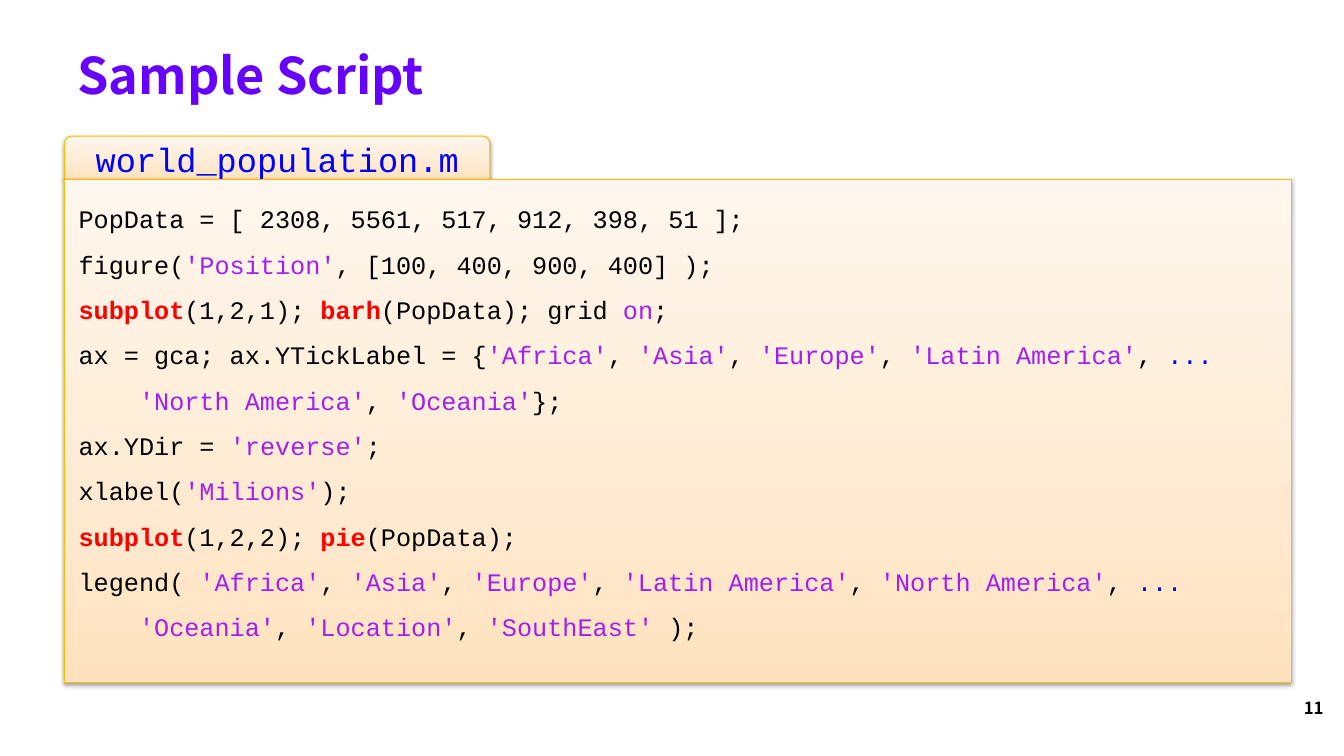
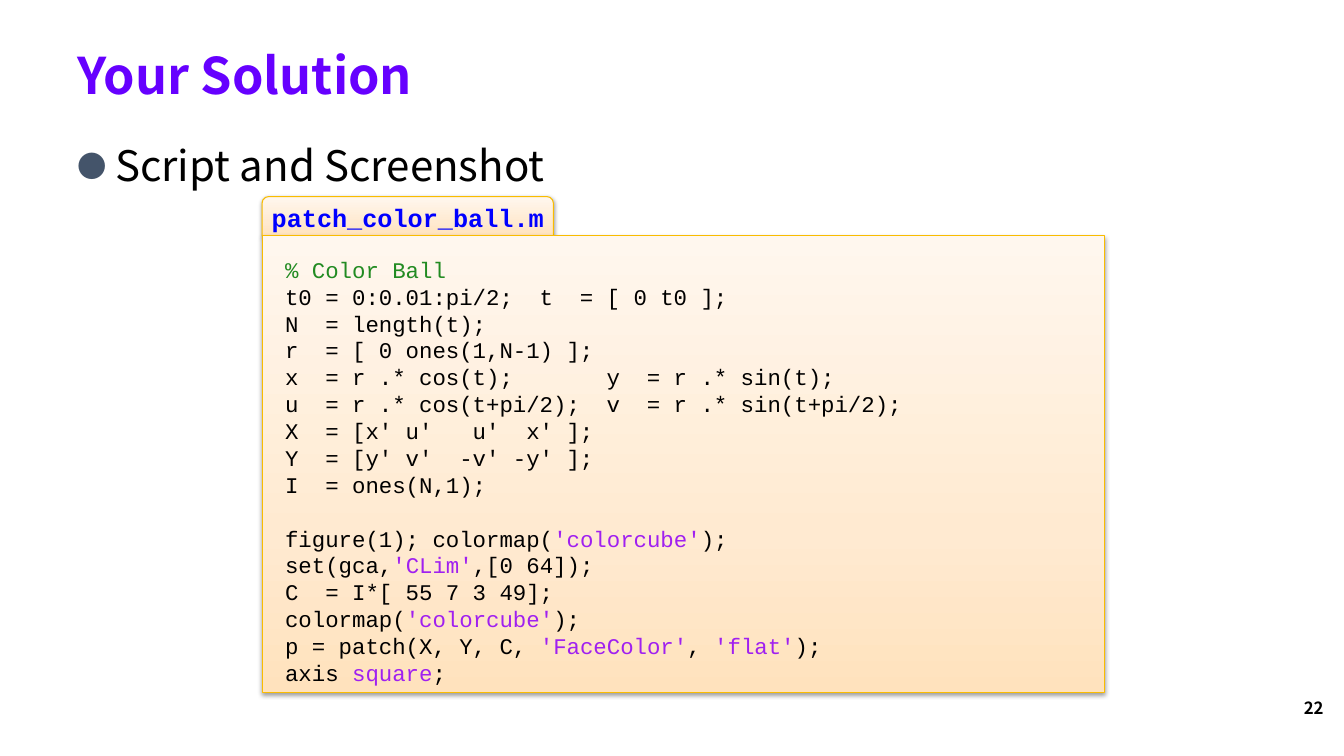
from copy import deepcopy
from dataclasses import dataclass
from typing import NamedTuple

from lxml.etree import SubElement
from pptx import Presentation
from pptx.dml.color import RGBColor
from pptx.enum.shapes import MSO_SHAPE as Preset
from pptx.enum.text import MSO_ANCHOR as Anchor, PP_ALIGN as Align
from pptx.oxml.ns import qn
from pptx.util import Pt

SANS = "Noto Sans CJK KR"
MONO = "Courier New"
TITLE_COLOR = "6600FF"
TEXT_COLOR = "000000"
BULLET_COLOR = "44546A"
FILE_COLOR = "0000FF"
BORDER_COLOR = "F9BC00"
PANEL_STOPS = ((0, "FFE2BD"), (0.35, "FFEAD1"), (1, "FFF7EE"))
MONO_ADVANCE = 0.6
MONO_LINE = 1.2


class Area(NamedTuple):
    left: float
    top: float
    width: float
    height: float


class Style(NamedTuple):
    size: float
    color: str = TEXT_COLOR
    bold: bool = False
    font: str = SANS


TITLE_AREA = Area(48.2, 9.4, 866.9, 69.1)
NUMBER_AREA = Area(728.6, 495, 223.9, 21.6)
BODY_AREA = Area(48.2, 95.8, 864, 387.4)

TITLE_STYLE = Style(36, TITLE_COLOR, True)
NUMBER_STYLE = Style(12, bold=True)
BODY_STYLE = Style(30)

CODE_MARKS = {
    "`": ("A020F0", False),
    "~": ("FF0000", True),
    "^": (FILE_COLOR, False),
    "#": ("228B22", False),
}
PLAIN_CODE = (TEXT_COLOR, False)


@dataclass
class Listing:
    file_name: str
    name_style: Style
    tab: Area
    panel: Area
    code: Area
    code_size: float
    line_spacing: float
    source: str


@dataclass
class Content:
    title: str
    number: str
    listing: Listing
    bullet: str = ""


POPULATION = Listing(
    "world_population.m",
    Style(24, FILE_COLOR, False, MONO),
    Area(46.1, 97.2, 303.8, 31),
    Area(46.1, 128.2, 876.2, 359.3),
    Area(49, 131, 848.9, 331.9),
    18,
    1.5,
    """PopData = [ 2308, 5561, 517, 912, 398, 51 ];
figure(`'Position'`, [100, 400, 900, 400] );
~subplot~(1,2,1); ~barh~(PopData); grid `on`;
ax = gca; ax.YTickLabel = {`'Africa'`, `'Asia'`, `'Europe'`, `'Latin America'`, ^...^
    `'North America'`, `'Oceania'`};
ax.YDir = `'reverse'`;
xlabel(`'Milions'`);
~subplot~(1,2,2); ~pie~(PopData);
legend( `'Africa'`, `'Asia'`, `'Europe'`, `'Latin America'`, `'North America'`, ^...^
    `'Oceania'`, `'Location'`, `'SouthEast'` );""",
)

COLOR_BALL = Listing(
    "patch_color_ball.m",
    Style(18, FILE_COLOR, True, MONO),
    Area(187.2, 140.4, 208.1, 28.1),
    Area(187.2, 168.5, 601.9, 326.2),
    Area(196.6, 179.3, 480.2, 317.5),
    16,
    1,
    """#% Color Ball#
t0 = 0:0.01:pi/2;  t  = [ 0 t0 ];
N  = length(t);
r  = [ 0 ones(1,N-1) ];
x  = r .* cos(t);       y  = r .* sin(t);
u  = r .* cos(t+pi/2);  v  = r .* sin(t+pi/2);
X  = [x' u'   u'  x' ];
Y  = [y' v'  -v' -y' ];
I  = ones(N,1);

figure(1); colormap(`'colorcube'`);
set(gca,`'CLim'`,[0 64]);
C  = I*[ 55 7 3 49];
colormap(`'colorcube'`);
p = patch(X, Y, C, `'FaceColor'`, `'flat'`);
axis `square`;""",
)

CONTENTS = (
    Content("Sample Script", "11", POPULATION),
    Content("Your Solution", "22", COLOR_BALL, "Script and Screenshot"),
)


def rgb(color: str) -> RGBColor:
    return RGBColor.from_string(color)


def lengths(area: Area) -> list:
    return [Pt(value) for value in area]


def format_span(span, style: Style) -> None:
    span.font.name = style.font
    span.font.size = Pt(style.size)
    span.font.bold = style.bold
    span.font.color.rgb = rgb(style.color)


def write_line(frame, text: str, style: Style, align=Align.LEFT):
    frame.text = text
    para = frame.paragraphs[0]
    para.alignment = align
    for span in para.runs:
        format_span(span, style)
    return para


def add_frame(page, area: Area):
    frame = page.shapes.add_textbox(*lengths(area)).text_frame
    frame.word_wrap = True
    return frame


def add_title(page, text: str) -> None:
    title = page.shapes.title
    title.left, title.top, title.width, title.height = lengths(TITLE_AREA)
    title.text_frame.vertical_anchor = Anchor.BOTTOM
    write_line(title.text_frame, text, TITLE_STYLE)


def add_bullet(page, text: str) -> None:
    para = write_line(add_frame(page, BODY_AREA), text, BODY_STYLE)
    settings = para._p.get_or_add_pPr()
    settings.set("marL", str(Pt(27)))
    settings.set("indent", str(-Pt(27)))
    color = SubElement(settings, qn("a:buClr"))
    SubElement(color, qn("a:srgbClr"), val=BULLET_COLOR)
    SubElement(settings, qn("a:buSzPct"), val="70000")
    SubElement(settings, qn("a:buFont"), typeface=SANS)
    SubElement(settings, qn("a:buChar"), char="●")


def add_shadow(shape) -> None:
    shape.shadow.inherit = False
    effects = shape._element.spPr.find(qn("a:effectLst"))
    shadow = SubElement(effects, qn("a:outerShdw"), blurRad=str(Pt(3.1)),
                        dist=str(Pt(1.6)), dir="5400000", rotWithShape="0")
    color = SubElement(shadow, qn("a:srgbClr"), val=TEXT_COLOR)
    SubElement(color, qn("a:alpha"), val="38000")


def add_panel(group, preset, area: Area):
    panel = group.shapes.add_shape(preset, *lengths(area))
    panel.fill.gradient()
    panel.fill.gradient_angle = 90
    stop_list = panel._element.spPr.find(qn("a:gradFill")).find(qn("a:gsLst"))
    stop_list.append(deepcopy(stop_list[0]))
    for stop, (position, color) in zip(panel.fill.gradient_stops, PANEL_STOPS):
        stop.position = position
        stop.color.rgb = rgb(color)
    panel.line.color.rgb = rgb(BORDER_COLOR)
    panel.line.width = Pt(0.75)
    add_shadow(panel)
    return panel


def split_code(line: str) -> list:
    pieces = []
    text, mark = "", ""
    for letter in line:
        if letter in CODE_MARKS:
            pieces.append((text, CODE_MARKS.get(mark, PLAIN_CODE)))
            text, mark = "", "" if mark else letter
        else:
            text += letter
    pieces.append((text, PLAIN_CODE))
    return [piece for piece in pieces if piece[0]]


def add_code(page, listing: Listing) -> None:
    frame = add_frame(page, listing.code)
    size = listing.code_size
    para, gap = frame.paragraphs[0], 0
    for index, line in enumerate(listing.source.splitlines()):
        if not line:
            gap += size * MONO_LINE
            continue
        if index:
            para = frame.add_paragraph()
        code = line.lstrip()
        indent = (len(line) - len(code)) * size * MONO_ADVANCE
        para._p.get_or_add_pPr().set("marL", str(Pt(indent)))
        para.line_spacing = float(listing.line_spacing)
        para.space_before = Pt(gap)
        gap = 0
        for text, (color, bold) in split_code(code):
            span = para.add_run()
            span.text = text
            format_span(span, Style(size, color, bold, MONO))


def add_listing(page, listing: Listing) -> None:
    group = page.shapes.add_group_shape()
    tab = add_panel(group, Preset.ROUND_2_SAME_RECTANGLE, listing.tab)
    add_panel(group, Preset.RECTANGLE, listing.panel)
    frame = tab.text_frame
    frame.margin_left = frame.margin_right = Pt(0)
    frame.margin_top = frame.margin_bottom = Pt(0)
    frame.vertical_anchor = Anchor.MIDDLE
    write_line(frame, listing.file_name, listing.name_style, Align.CENTER)
    add_code(page, listing)


def add_page(deck, content: Content) -> None:
    page = deck.slides.add_slide(deck.slide_layouts.get_by_name("Title Only"))
    add_title(page, content.title)
    if content.bullet:
        add_bullet(page, content.bullet)
    write_line(add_frame(page, NUMBER_AREA), content.number, NUMBER_STYLE, Align.RIGHT)
    add_listing(page, content.listing)


def main() -> None:
    deck = Presentation()
    deck.slide_width, deck.slide_height = Pt(960), Pt(540)
    for content in CONTENTS:
        add_page(deck, content)
    deck.save("out.pptx")


if __name__ == "__main__":
    main()
